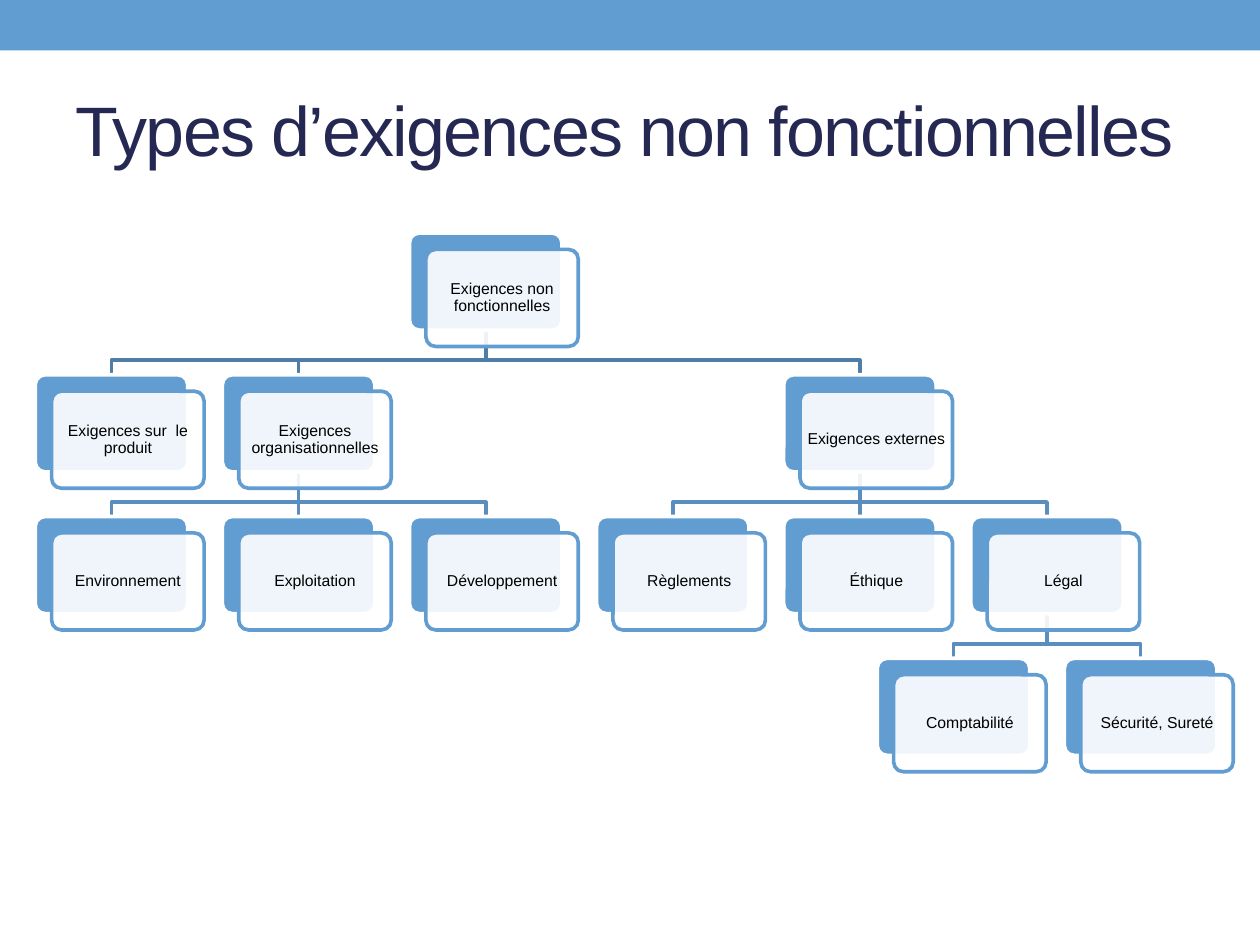
from dataclasses import dataclass

from lxml.etree import SubElement
from pptx import Presentation
from pptx.dml.color import RGBColor
from pptx.enum.shapes import MSO_CONNECTOR, MSO_SHAPE
from pptx.enum.text import MSO_ANCHOR, MSO_AUTO_SIZE, PP_ALIGN
from pptx.oxml.ns import qn
from pptx.util import Inches, Pt

WIDE, HIGH = 10, 7.5
LEFT, TOP = 0.28, 1.85            # corner of the grid
STEP_X, STEP_Y = 1.485, 1.125     # column and row steps
BOX_W, BOX_H = 1.21, 0.77
SHIFT = 0.13                      # front panel against its back plate
BEND = 0.24                       # drop from a box to its branch line
STROKE = 2.08
BLUE, NAVY, WHITE, BLACK = "629DD1", "242852", "FFFFFF", "000000"
DARK, MID = "4E7EA7", "598EBE"    # branch lines: first level, then lower


@dataclass
class Node:
    text: str
    col: float
    row: int
    boss: int | None = None       # index of the parent node

    @property
    def x(self) -> float:
        return LEFT + self.col * STEP_X

    @property
    def y(self) -> float:
        return TOP + self.row * STEP_Y

    @property
    def mid(self) -> float:
        return self.x + BOX_W / 2


NODES = [
    Node("Exigences non fonctionnelles", 2, 0),
    Node("Exigences sur  le produit", 0, 1, 0),
    Node("Exigences organisationnelles", 1, 1, 0),
    Node("Exigences externes", 4, 1, 0),
    Node("Environnement", 0, 2, 2),
    Node("Exploitation", 1, 2, 2),
    Node("Développement", 2, 2, 2),
    Node("Règlements", 3, 2, 3),
    Node("Éthique", 4, 2, 3),
    Node("Légal", 5, 2, 3),
    Node("Comptabilité", 4.5, 3, 9),
    Node("Sécurité, Sureté", 5.5, 3, 9),
]


def paint(code: str) -> RGBColor:
    return RGBColor.from_string(code)


def write(shape, text: str, *, size: float, color: str, align=PP_ALIGN.CENTER,
          anchor=MSO_ANCHOR.MIDDLE, pad=(0.03, 0.03), lead=1.0, track=0) -> None:
    """Fill a shape with one formatted paragraph; pad is (side, top)."""
    frame = shape.text_frame
    frame.word_wrap = True
    frame.auto_size = MSO_AUTO_SIZE.NONE
    frame.vertical_anchor = anchor
    frame.margin_left = frame.margin_right = Inches(pad[0])
    frame.margin_top = frame.margin_bottom = Inches(pad[1])
    para = frame.paragraphs[0]
    para.alignment, para.line_spacing = align, lead
    run = para.add_run()
    run.text = text
    run.font.name, run.font.size = "Arial", Pt(size)
    run.font.color.rgb = paint(color)
    if track:
        run.font._element.set("spc", str(track * 100))


def block(slide, kind, x: float, y: float, w: float, h: float,
          fill: str, line: str | None = None, alpha: int = 100):
    shape = slide.shapes.add_shape(kind, *map(Inches, (x, y, w, h)))
    shape.shadow.inherit = False
    shape.fill.solid()
    shape.fill.fore_color.rgb = paint(fill)
    if alpha < 100:
        tint = shape._element.spPr.find(qn("a:solidFill"))[0]
        SubElement(tint, qn("a:alpha")).set("val", str(alpha * 1000))
    if line:
        shape.line.color.rgb = paint(line)
        shape.line.width = Pt(STROKE)
    else:
        shape.line.fill.background()
    return shape


def card(slide, node: Node):
    """Draw plate and panel; return the plate for joining lines."""
    kind = MSO_SHAPE.ROUNDED_RECTANGLE
    plate = block(slide, kind, node.x, node.y, BOX_W, BOX_H, BLUE, WHITE)
    panel = block(slide, kind, node.x + SHIFT, node.y + SHIFT, BOX_W, BOX_H,
                  WHITE, BLUE, 90)
    for part in (plate, panel):
        part.adjustments[0] = 0.1
    write(panel, node.text, size=9, color=BLACK, lead=0.9)
    return plate


def branch(slide, head: Node, kid: Node, ends: tuple) -> None:
    """Link parent to child behind all the cards."""
    low = head.y + BOX_H
    if head.col == kid.col:
        link = slide.shapes.add_connector(
            MSO_CONNECTOR.STRAIGHT, *map(Inches, (head.mid, low, kid.mid, kid.y)))
        link.begin_connect(ends[0], 2)
        link.end_connect(ends[1], 0)
        SubElement(link._element.spPr, qn("a:effectLst"))
    else:
        bend = low + BEND
        path = slide.shapes.build_freeform(Inches(head.mid), Inches(low))
        turns = [(head.mid, bend), (kid.mid, bend), (kid.mid, kid.y)]
        path.add_line_segments([(Inches(x), Inches(y)) for x, y in turns], close=False)
        link = path.convert_to_shape()
        link.fill.background()
        link.shadow.inherit = False
    link.line.color.rgb = paint(MID if head.row else DARK)
    link.line.width = Pt(STROKE)
    slide.shapes._spTree.insert(2, link._element)


def main() -> None:
    deck = Presentation()
    deck.slide_width, deck.slide_height = Inches(WIDE), Inches(HIGH)
    slide = deck.slides.add_slide(deck.slide_layouts[5])

    # Top band and title
    block(slide, MSO_SHAPE.RECTANGLE, 0, 0, WIDE, 0.4, BLUE)
    title = slide.shapes.title
    title.left, title.top = Inches(0.05 * WIDE), Inches(0.58)
    title.width, title.height = Inches(0.9 * WIDE), Inches(1.08)
    write(title, "Types d’exigences non fonctionnelles", size=40, color=NAVY,
          align=PP_ALIGN.LEFT, anchor=MSO_ANCHOR.TOP, pad=(0.1, 0.11), track=-1)

    # Tree of cards, then the lines behind them
    plates = [card(slide, node) for node in NODES]
    for node, plate in zip(NODES, plates):
        if node.boss is not None:
            branch(slide, NODES[node.boss], node, (plates[node.boss], plate))

    deck.save("out.pptx")


if __name__ == "__main__":
    main()
